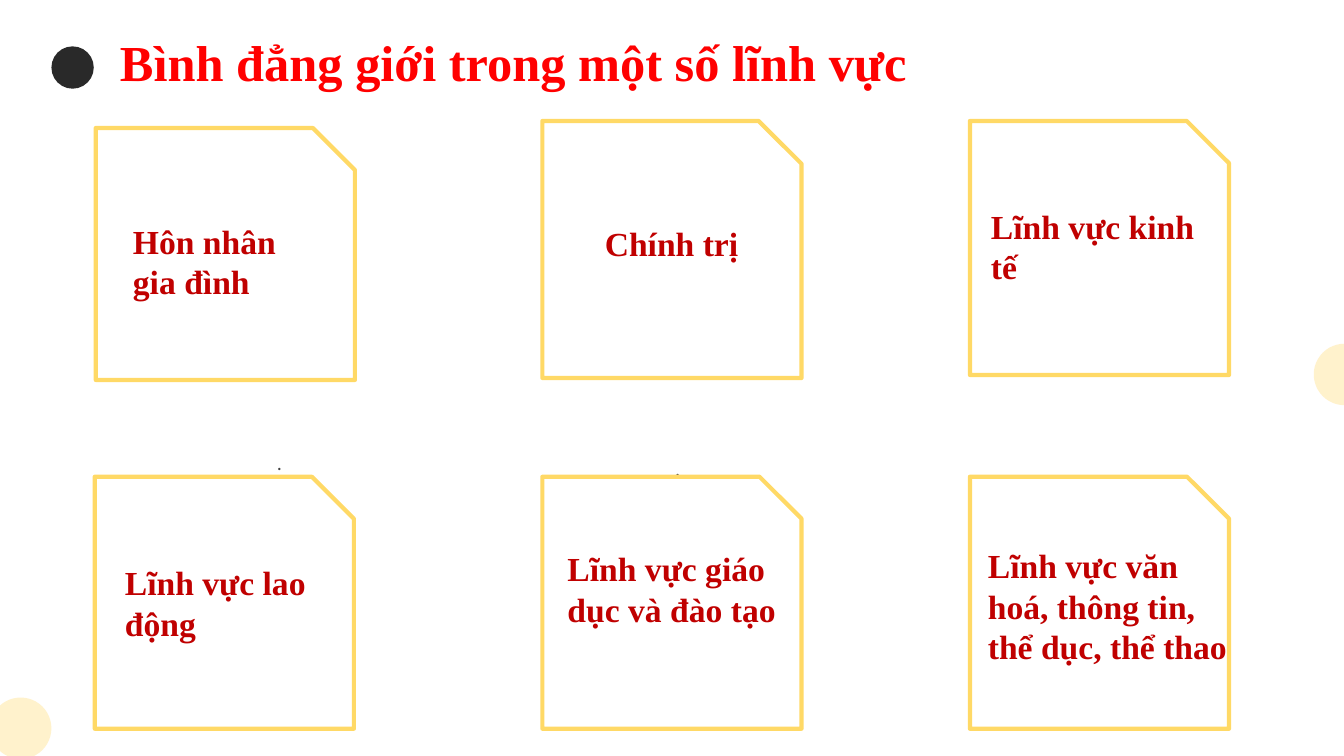
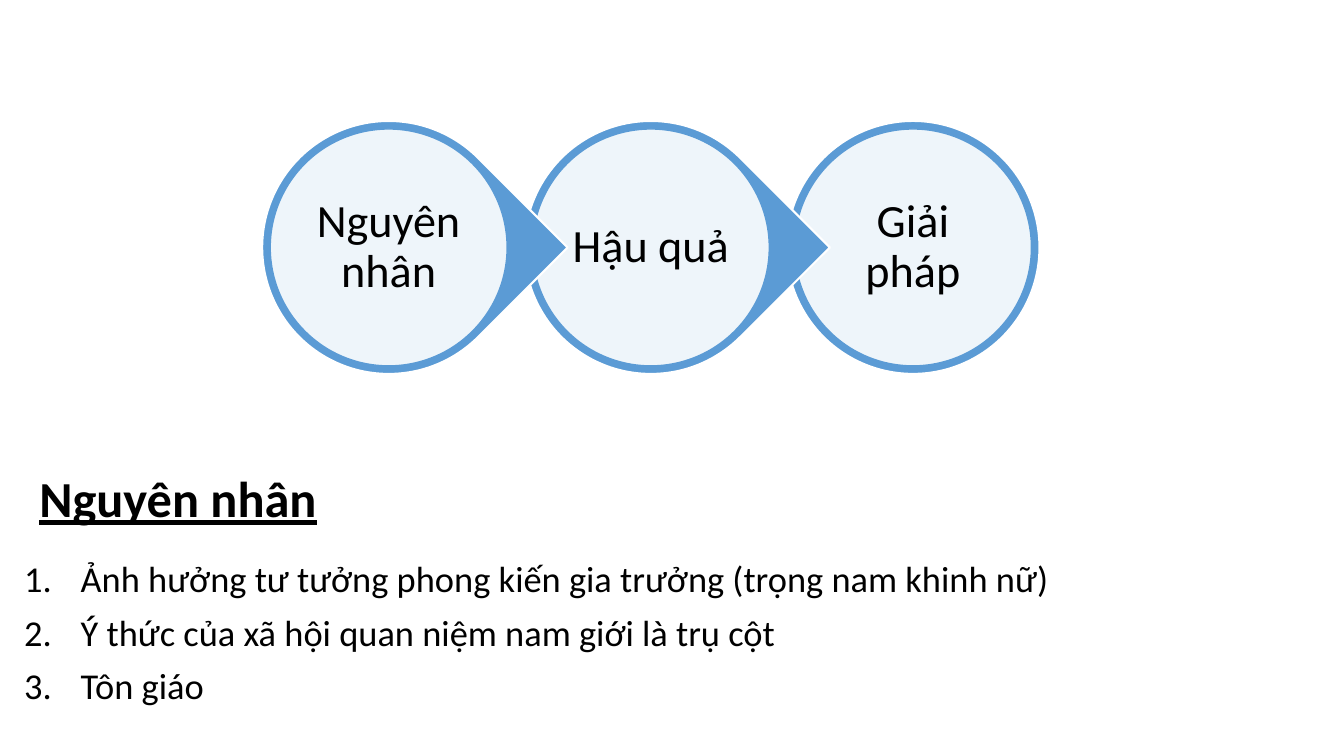
from lxml import etree
from pptx import Presentation
from pptx.dml.color import RGBColor
from pptx.enum.shapes import MSO_SHAPE
from pptx.enum.text import MSO_ANCHOR, MSO_AUTO_SIZE, PP_ALIGN
from pptx.oxml.ns import qn
from pptx.util import Inches, Pt

RED = RGBColor(0xFF, 0x00, 0x00)
DARK_RED = RGBColor(0xC0, 0x00, 0x00)
BLACK = RGBColor(0x00, 0x00, 0x00)
CHARCOAL = RGBColor(0x29, 0x29, 0x29)
GRAY = RGBColor(0x40, 0x40, 0x40)
GOLD = RGBColor(0xFF, 0xD9, 0x66)
CREAM = RGBColor(0xFF, 0xF2, 0xCC)
BLUE = RGBColor(0x5B, 0x9B, 0xD5)
WHITE = RGBColor(0xFF, 0xFF, 0xFF)
SERIF, SANS = "Times New Roman", "Calibri"

FIELDS_TITLE = "Bình đẳng giới trong một số lĩnh vực"
CARD_WIDTH = 2.57
FIELDS = [
    ("Hôn nhân gia đình", (0.95, 1.27, 2.5), (1.22, 2.14, 2.01)),
    ("Chính trị", (5.38, 1.2, 2.55), (5.9, 2.16, 1.6)),
    ("Lĩnh vực kinh tế", (9.62, 1.2, 2.52), (9.73, 1.99, 2.35)),
    ("Lĩnh vực lao động", (0.94, 4.73, 2.5), (1.14, 5.53, 2.18)),
    ("Lĩnh vực giáo dục và đào tạo", (5.38, 4.73, 2.5), (5.53, 5.39, 2.46)),
    ("Lĩnh vực văn hoá, thông tin, thể dục, thể thao", (9.62, 4.73, 2.5), (9.7, 5.36, 2.57)),
]
DOTS = [(1.56, 4.39), (5.51, 4.45)]
CORNER_CIRCLES = [(-0.1, 6.92), (13.03, 3.41)]

CAUSES_TITLE = "Nguyên nhân"
CAUSES = [
    "Ảnh hưởng tư tưởng phong kiến gia trưởng (trọng nam khinh nữ)",
    "Ý thức của xã hội quan niệm nam giới là trụ cột",
    "Tôn giáo",
]
STEPS = ["Nguyên nhân", "Hậu quả", "Giải pháp"]
STEP_LEFT, STEP_TOP, STEP_PITCH = 2.6, 1.2, 2.6
STEP_SIZE, DISC_SIZE, LABEL_SIZE = 2.51, 2.35, 1.67


def place(shape, left, top, width, height):
    shape.left, shape.top = Inches(left), Inches(top)
    shape.width, shape.height = Inches(width), Inches(height)


def add_figure(slide, kind, box, fill=None, line=None, line_width=1):
    shape = slide.shapes.add_shape(kind, *map(Inches, box))
    shape.shadow.inherit = False
    if fill is None:
        shape.fill.background()
    else:
        shape.fill.solid()
        shape.fill.fore_color.rgb = fill
    if line is None:
        shape.line.fill.background()
    else:
        shape.line.color.rgb = line
        shape.line.width = Pt(line_width)
    return shape


def write(paragraph, text, size, name, color, bold=False, italic=False, underline=False):
    run = paragraph.add_run()
    run.text = text
    font = run.font
    font.size, font.name, font.color.rgb = Pt(size), name, color
    font.bold, font.italic, font.underline = bold, italic, underline


def add_text(slide, box, text, size, name, color, align=PP_ALIGN.LEFT, spacing=1.0, **style):
    frame = slide.shapes.add_textbox(*map(Inches, box)).text_frame
    frame.word_wrap = True
    paragraph = frame.paragraphs[0]
    paragraph.alignment, paragraph.line_spacing = align, spacing
    write(paragraph, text, size, name, color, **style)
    return frame


def set_title(slide, box, text, name, color, anchor, spacing=1.0, underline=False):
    title = slide.shapes.title
    place(title, *box)
    frame = title.text_frame
    frame.auto_size, frame.vertical_anchor = MSO_AUTO_SIZE.NONE, anchor
    paragraph = frame.paragraphs[0]
    paragraph.alignment, paragraph.line_spacing = PP_ALIGN.LEFT, spacing
    write(paragraph, text, 36, name, color, bold=True, underline=underline)


def set_numbered_list(body, items):
    frame = body.text_frame
    frame.auto_size = MSO_AUTO_SIZE.NONE
    for index, item in enumerate(items):
        paragraph = frame.add_paragraph() if index else frame.paragraphs[0]
        properties = paragraph._p.get_or_add_pPr()
        properties.set("marL", str(Inches(0.56)))
        properties.set("indent", str(Inches(-0.56)))
        etree.SubElement(properties, qn("a:buFont"), typeface="+mj-lt")
        etree.SubElement(properties, qn("a:buAutoNum"), type="arabicPeriod")
        paragraph.line_spacing = 0.9
        paragraph.space_before = Pt(10 if index else 0)
        write(paragraph, item, 26, SANS, BLACK)


def build_fields(presentation):
    slide = presentation.slides.add_slide(presentation.slide_layouts[5])
    set_title(slide, (1.09, 0.26, 9, 1.25), FIELDS_TITLE, SERIF, RED, MSO_ANCHOR.TOP)
    add_figure(slide, MSO_SHAPE.OVAL, (0.51, 0.46, 0.42, 0.42), CHARCOAL)
    for left, top in DOTS:
        add_text(slide, (left, top, 2.43, 0.35), ".", 14, SANS, GRAY,
                 PP_ALIGN.CENTER, 1.14, italic=True)
    for label, (left, top, height), (text_left, text_top, text_width) in FIELDS:
        add_figure(slide, MSO_SHAPE.SNIP_1_RECTANGLE, (left, top, CARD_WIDTH, height),
                   line=GOLD, line_width=3)
        add_text(slide, (text_left, text_top, text_width, 0.91), label, 24, SERIF,
                 DARK_RED, bold=True)
    for left, top in CORNER_CIRCLES:
        add_figure(slide, MSO_SHAPE.OVAL, (left, top, 0.61, 0.61), CREAM)


def add_step(slide, index, label):
    def centered(size):
        inset = (STEP_SIZE - size) / 2
        return STEP_LEFT + index * STEP_PITCH + inset, STEP_TOP + inset, size, size

    last = index == len(STEPS) - 1
    kind = MSO_SHAPE.OVAL if last else MSO_SHAPE.TEAR
    ring = add_figure(slide, kind, centered(STEP_SIZE), BLUE, WHITE, 1.5)
    if not last:
        ring.rotation = 45
    disc = add_figure(slide, MSO_SHAPE.OVAL, centered(DISC_SIZE), WHITE, BLUE)
    color = disc.fill._xPr.find(qn("a:solidFill"))[0]
    etree.SubElement(color, qn("a:alpha"), val="90000")
    frame = add_text(slide, centered(LABEL_SIZE), label, 33, SANS, BLACK,
                     PP_ALIGN.CENTER, 0.9)
    frame.vertical_anchor = MSO_ANCHOR.MIDDLE
    frame.margin_left = frame.margin_right = Inches(0.05)
    frame.margin_top = frame.margin_bottom = Inches(0.05)


def build_causes(presentation):
    slide = presentation.slides.add_slide(presentation.slide_layouts[1])
    set_title(slide, (0.29, 4.25, 11.5, 1.45), CAUSES_TITLE, SANS, BLACK,
              MSO_ANCHOR.MIDDLE, 0.9, underline=True)
    body = slide.placeholders[1]
    place(body, 0.14, 5.52, 10.38, 1.98)
    set_numbered_list(body, CAUSES)
    for index, label in reversed(list(enumerate(STEPS))):
        add_step(slide, index, label)


def main():
    presentation = Presentation()
    presentation.slide_width, presentation.slide_height = Inches(13.33), Inches(7.5)
    build_fields(presentation)
    build_causes(presentation)
    presentation.save("out.pptx")


if __name__ == "__main__":
    main()
